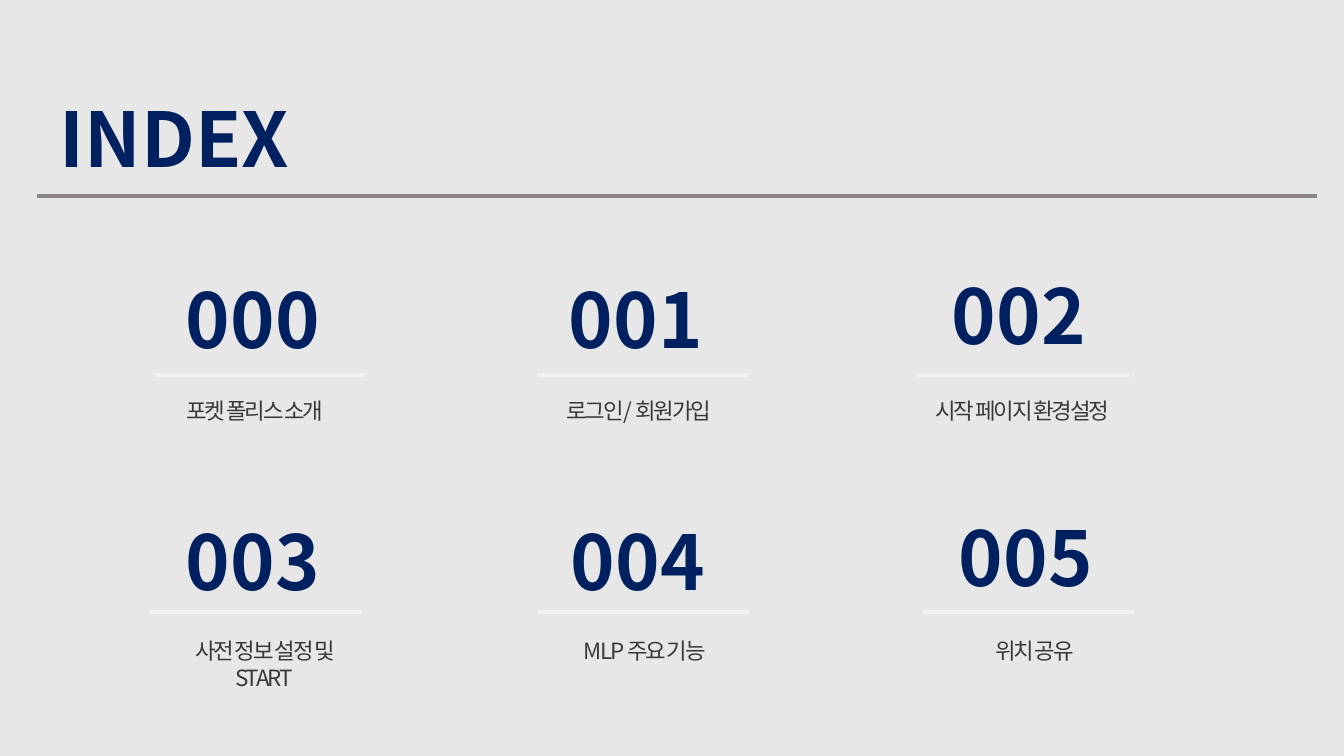
import pptx
import pptx.util
import pptx.dml.color
import pptx.enum.shapes
import pptx.enum.text
import pptx.oxml.ns
import lxml.etree

PX = 12192000 / 1344
THEME = {
    "font": "Noto Sans CJK KR",
    "background": "E8E7E7",
    "navy": "002060",
    "charcoal": "3A3838",
    "header_rule": "8A8686",
    "entry_rule": "F2F2F2",
    "display_size": 54,
    "caption_size": 16,
    "rule_weight": 3,
}

deck = pptx.Presentation()
deck.slide_width = round(1344 * PX)
deck.slide_height = round(756 * PX)
page = deck.slides.add_slide(deck.slide_layouts[6])
page.background.fill.solid()
page.background.fill.fore_color.rgb = pptx.dml.color.RGBColor.from_string(THEME["background"])


def add_text(text, *, left, top, width, height, size, color, bold=False, centered=False, spacing=0):
    box = page.shapes.add_textbox(*(round(n * PX) for n in (left, top, width, height)))
    box.text_frame.word_wrap = True
    box.text_frame.auto_size = pptx.enum.text.MSO_AUTO_SIZE.SHAPE_TO_FIT_TEXT
    para = box.text_frame.paragraphs[0]
    if centered:
        para.alignment = pptx.enum.text.PP_ALIGN.CENTER
    span = para.add_run()
    span.text = text
    span.font.name = THEME["font"]
    span.font.size = pptx.util.Pt(size)
    span.font.bold = bold
    span.font.color.rgb = pptx.dml.color.RGBColor.from_string(color)
    properties = span.font._element
    if spacing:
        properties.set("spc", str(round(spacing * 100)))
    east_asian = lxml.etree.SubElement(properties, pptx.oxml.ns.qn("a:ea"))
    east_asian.set("typeface", THEME["font"])


def add_rule(left, top, length, color):
    rule = page.shapes.add_connector(
        pptx.enum.shapes.MSO_CONNECTOR.STRAIGHT,
        *(round(n * PX) for n in (left, top, left + length, top)),
    )
    rule.line.color.rgb = pptx.dml.color.RGBColor.from_string(color)
    rule.line.width = pptx.util.Pt(THEME["rule_weight"])
    lxml.etree.SubElement(rule._element.spPr, pptx.oxml.ns.qn("a:effectLst"))


display = {"height": 102, "size": THEME["display_size"], "color": THEME["navy"], "bold": True}
caption_style = {"height": 37, "size": THEME["caption_size"], "color": THEME["charcoal"],
                 "centered": True, "spacing": -1.5}

add_text("INDEX", left=50, top=87, width=275, **display)
add_rule(37, 196, 1280, THEME["header_rule"])

rows = [
    (375, 392, [
        ("포켓 폴리스 소개", 176, 268, 154, 140, 230),
        ("로그인/ 회원가입", 559, 268, 537, 524, 230),
        ("시작 페이지 환경설정", 942, 264, 917, 918, 209),
    ]),
    (612, 632, [
        ("사전 정보 설정 및 START", 176, 510, 149, 154, 220),
        ("MLP 주요 기능", 561, 510, 537, 530, 230),
        ("위치 공유", 949, 506, 923, 965, 139),
    ]),
]

number = 0
for rule_top, caption_top, entries in rows:
    for caption, number_left, number_top, rule_left, caption_left, caption_width in entries:
        add_text(f"{number:03}", left=number_left, top=number_top, width=199, **display)
        add_rule(rule_left, rule_top, 212, THEME["entry_rule"])
        add_text(caption, left=caption_left, top=caption_top, width=caption_width, **caption_style)
        number += 1

deck.save("out.pptx")
